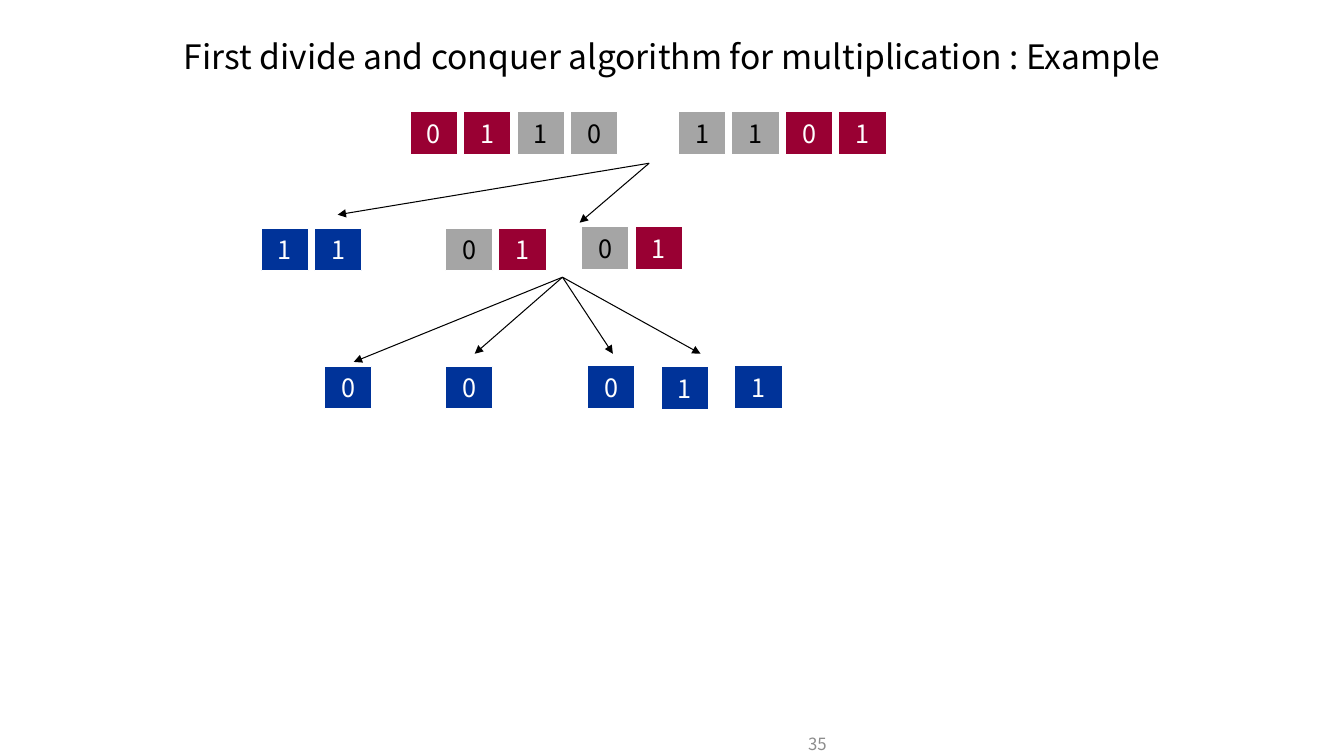
from lxml import etree
from pptx import Presentation
from pptx import util as u
from pptx.dml.color import RGBColor
from pptx.enum import shapes, text
from pptx.oxml.ns import qn

# Content: lengths in points
FONT = "Noto Sans CJK SC"
COLORS = {"black": "000000", "white": "FFFFFF", "number": "8C8C8C",
          "gray": "A5A5A5", "red": "990033", "blue": "003399"}
TITLE = "First divide and conquer algorithm for multiplication : Example"
PAGE = "35"
BOX_W, BOX_H, PITCH = 33.8, 30.2, 38.2

# Bit groups: left, top, digits, fill of each digit
GROUPS = [
    (293, 79.9, "0110", ["red", "red", "gray", "gray"]),
    (484.6, 79.9, "1101", ["gray", "gray", "red", "red"]),
    (186.5, 163.4, "11", ["blue", "blue"]),
    (318.2, 163.4, "01", ["gray", "red"]),
    (415.4, 162, "01", ["gray", "red"]),
    (231.8, 261.5, "0", ["blue"]),
    (318.2, 261.5, "0", ["blue"]),
    (419.8, 261.4, "0", ["blue"]),
    (472.3, 262, "1", ["blue"]),
    (524.9, 261.4, "1", ["blue"]),
]
# Branches: start point, end points
BRANCHES = [
    ((463.7, 116.6), [(241.2, 153.4), (414, 159.1)]),
    ((401.8, 198), [(252.7, 258.5), (339.1, 252.7),
                    (437.8, 252.7), (500.4, 252.7)]),
]

prs = Presentation()
prs.slide_width, prs.slide_height = u.Pt(960), u.Pt(540)
s = prs.slides.add_slide(prs.slide_layouts[6])


def rgb(name):
    return RGBColor.from_string(COLORS[name])


def write(sp, words, size, color, align, anchor, wrap):
    tf = sp.text_frame
    tf.word_wrap = wrap
    tf.vertical_anchor = anchor
    p = tf.paragraphs[0]
    p.alignment = align
    r = p.add_run()
    r.text = words
    r.font.name, r.font.size = FONT, u.Pt(size)
    r.font.color.rgb = rgb(color)
    return p


def add_bit(x, y, digit, fill):
    sp = s.shapes.add_shape(shapes.MSO_SHAPE.RECTANGLE,
                            u.Pt(x), u.Pt(y), u.Pt(BOX_W), u.Pt(BOX_H))
    sp.shadow.inherit = False
    sp.fill.solid()
    sp.fill.fore_color.rgb = rgb(fill)
    sp.line.color.rgb = rgb("white")
    sp.line.width = u.Pt(0.75)
    write(sp, digit, 18, "black" if fill == "gray" else "white",
          text.PP_ALIGN.CENTER, text.MSO_ANCHOR.MIDDLE, False)


def add_arrow(start, end):
    cx = s.shapes.add_connector(shapes.MSO_CONNECTOR.STRAIGHT,
                                *[u.Pt(v) for v in start + end])
    cx.line.color.rgb = rgb("black")
    cx.line.width = u.Pt(0.75)
    ln = cx.line._get_or_add_ln()
    etree.SubElement(ln, qn("a:tailEnd"), type="triangle")
    etree.SubElement(cx._element.spPr, qn("a:effectLst"))


# Slide number and title
sp = s.shapes.add_textbox(u.Pt(570.2), u.Pt(522), u.Pt(150), u.Pt(18))
write(sp, PAGE, 12, "number", text.PP_ALIGN.LEFT, text.MSO_ANCHOR.MIDDLE, True)
sp = s.shapes.add_textbox(u.Pt(120), u.Pt(21), u.Pt(720), u.Pt(36))
p = write(sp, TITLE, 24, "black", text.PP_ALIGN.CENTER,
          text.MSO_ANCHOR.BOTTOM, True)
p.line_spacing = 0.7

# Arrows of the recursion tree
for start, ends in BRANCHES:
    for end in ends:
        add_arrow(start, end)

# Bits of the factors and partial products
for left, top, digits, fills in GROUPS:
    for i, (digit, fill) in enumerate(zip(digits, fills)):
        add_bit(left + i * PITCH, top, digit, fill)

prs.save("out.pptx")
